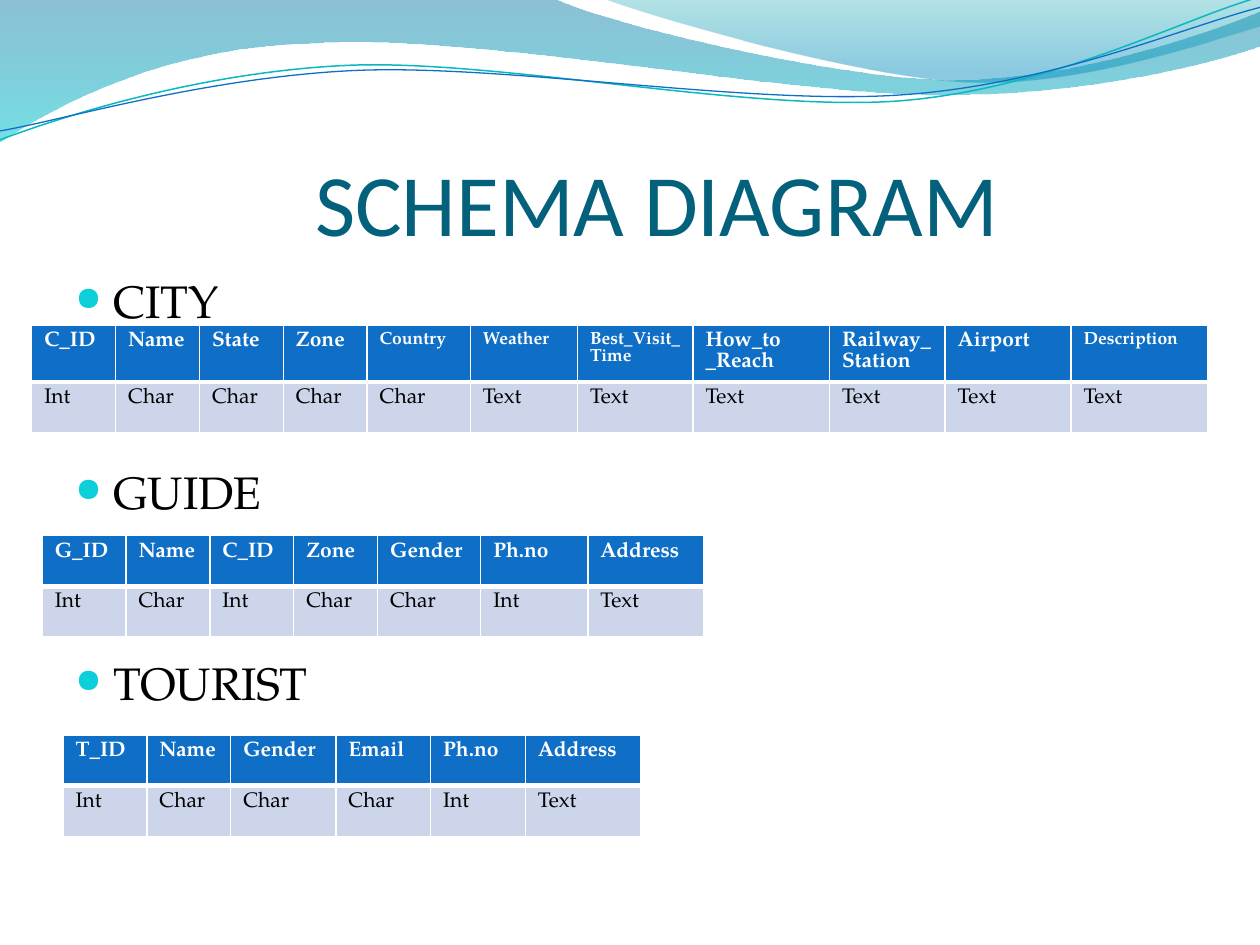
from lxml.etree import SubElement
from pptx import Presentation
from pptx.dml.color import RGBColor
from pptx.enum.text import MSO_ANCHOR, PP_ALIGN
from pptx.oxml import parse_xml
from pptx.oxml.ns import nsdecls, qn
from pptx.util import Cm, Pt

COLORS = {
    "title": "04617B", "text": "000000", "white": "FFFFFF", "bullet": "0BD0D9",
    "header": "0F6FC6", "body": "CCD5EA", "teal": "0AB8BF", "blue": "0F6FC6",
    "wave_top": "0074A1", "wave_bottom": "00C6CF",
    "crest_top": "00A1A9", "crest_bottom": "008BBF",
}
TITLE_FONT, BODY_FONT = "Calibri", "TeX Gyre Pagella"
UNITS_PER_CM = 1000
ROW_HEIGHT = 1.02
LINE_TILT = 357.3

# Outlines in cm: a pair is a straight step, three pairs are a Bezier curve
WAVE = [
    (-0.03, 0), (11.18, -0.03),
    ((12.09, 0.43), (16.87, 1.6), (19.25, 1.6)),
    ((21.67, 1.6), (24.33, 0.66), (25.4, 0.23)),
    (25.43, 0.91),
    ((24.97, 1.12), (22.1, 1.93), (18.95, 1.91)),
    ((15.8, 1.91), (9.7, 0.71), (6.53, 0.86)),
    ((3.28, 0.91), (1.17, 2.11), (-0.03, 2.87)),
]
CREST = [
    (12.17, -0.03),
    ((12.93, 0.28), (17.32, 1.57), (19.53, 1.65)),
    ((21.74, 1.75), (24.41, 0.81), (25.4, 0.53)),
    (25.4, 0),
]
TEAL_LINE = [
    (-0.05, 2.22),
    ((1.19, 1.82), (4.02, 1.04), (7.05, 1.05)),
    ((10.05, 1.07), (15.02, 2.37), (18.08, 2.29)),
    ((21.13, 2.2), (23.87, 0.91), (25.41, 0.55)),
]
BLUE_LINE = [
    (-0.04, 2.04),
    ((1.16, 1.9), (4.18, 1.15), (7.2, 1.16)),
    ((10.25, 1.18), (15.13, 2.25), (18.18, 2.17)),
    ((21.21, 2.1), (23.93, 1.06), (25.45, 0.75)),
]

# Tables: name, left, top, then (field, type, column width), all in cm
TABLES = [
    ("CITY", 0.64, 6.56, [
        ("C_ID", "Int", 1.69), ("Name", "Char", 1.69), ("State", "Char", 1.69),
        ("Zone", "Char", 1.69), ("Country", "Char", 2.08), ("Weather", "Text", 2.16),
        ("Best_Visit_Time", "Text", 2.33), ("How_to _Reach", "Text", 2.75),
        ("Railway_Station", "Text", 2.33), ("Airport", "Text", 2.54),
        ("Description", "Text", 2.75)]),
    ("GUIDE", 0.85, 10.8, [
        ("G_ID", "Int", 1.69), ("Name", "Char", 1.69), ("C_ID", "Int", 1.69),
        ("Zone", "Char", 1.69), ("Gender", "Char", 2.08), ("Ph.no", "Int", 2.16),
        ("Address", "Text", 2.33)]),
    ("TOURIST", 1.27, 14.82, [
        ("T_ID", "Int", 1.69), ("Name", "Char", 1.69), ("Gender", "Char", 2.12),
        ("Email", "Char", 1.91), ("Ph.no", "Int", 1.91), ("Address", "Text", 2.33)]),
]
SMALL_HEADERS = {"Country", "Weather", "Best_Visit_Time", "Description"}


def rgb(name):
    return RGBColor.from_string(COLORS[name])


def set_font(font, name, size, color, bold=False):
    font.name, font.size, font.bold = name, Pt(size), bold
    font.color.rgb = rgb(color)


def bend_segments(shape, outline):
    """Join the three straight steps of each Bezier part into one curve."""
    steps = iter(list(shape._element.iter(qn("a:lnTo"))))
    for part in outline[1:]:
        step = next(steps)
        if len(part) == 3:
            curve = parse_xml(f'<a:cubicBezTo {nsdecls("a")}/>')
            step.addprevious(curve)
            for corner in (step, next(steps), next(steps)):
                curve.append(corner[0])
                corner.getparent().remove(corner)


def add_outline(slide, outline, close):
    points = [outline[0]]
    for part in outline[1:]:
        points.extend(part if len(part) == 3 else [part])
    scaled = [(x * UNITS_PER_CM, y * UNITS_PER_CM) for x, y in points]
    builder = slide.shapes.build_freeform(*scaled[0], scale=Cm(1) / UNITS_PER_CM)
    builder.add_line_segments(scaled[1:], close=close)
    shape = builder.convert_to_shape()
    bend_segments(shape, outline)
    shape.shadow.inherit = False
    return shape


def add_wave(slide, outline, stops):
    shape = add_outline(slide, outline, True)
    shape.line.fill.background()
    shape.fill.gradient()
    shape.fill.gradient_angle = 270
    for stop, (position, color, _) in zip(shape.fill.gradient_stops, stops):
        stop.position = position
        stop.color.rgb = rgb(color)
    colors = shape._element.spPr.iter(qn("a:srgbClr"))
    for element, (_, _, opacity) in zip(colors, stops):
        SubElement(element, qn("a:alpha"), val=str(opacity * 1000))


def add_curve(slide, outline, color, width):
    shape = add_outline(slide, outline, False)
    shape.rotation = LINE_TILT
    shape.fill.background()
    shape.line.color.rgb = rgb(color)
    shape.line.width = Pt(width)


def format_title(slide, text):
    title = slide.shapes.title
    title.left, title.top, title.width, title.height = Cm(1.27), Cm(1.94), Cm(22.86), Cm(3.18)
    frame = title.text_frame
    frame.text = text
    frame.vertical_anchor = MSO_ANCHOR.BOTTOM
    frame.margin_left = frame.margin_right = frame.margin_bottom = 0
    frame.margin_top = Cm(0.13)
    paragraph = frame.paragraphs[0]
    paragraph.alignment = PP_ALIGN.LEFT
    paragraph._p.get_or_add_pPr().set("marL", str(Cm(5.08)))
    set_font(paragraph.font, TITLE_FONT, 50, "title")


def add_bullet(paragraph):
    properties = paragraph._p.get_or_add_pPr()
    properties.set("marL", str(Cm(0.76)))
    properties.set("indent", str(-Cm(0.76)))
    color = SubElement(properties, qn("a:buClr"))
    SubElement(color, qn("a:srgbClr"), val=COLORS["bullet"])
    SubElement(properties, qn("a:buSzPct"), val="73000")
    SubElement(properties, qn("a:buChar"), char="●")


def add_headings(slide, names):
    box = slide.shapes.add_textbox(Cm(1.27), Cm(5.38), Cm(22.86), Cm(12.19))
    frame = box.text_frame
    frame.word_wrap = True
    for index, name in enumerate(names):
        paragraph = frame.add_paragraph() if index else frame.paragraphs[0]
        paragraph.text = name
        paragraph.space_before = Pt(78 if index else 5.2)
        add_bullet(paragraph)
        set_font(paragraph.font, BODY_FONT, 26, "text")


def set_borders(cell, bottom_width):
    properties = cell._tc.get_or_add_tcPr()
    for index, side in enumerate(("L", "R", "T", "B")):
        width = Pt(bottom_width if side == "B" else 1)
        properties.insert(index, parse_xml(
            f'<a:ln{side} {nsdecls("a")} w="{width}"><a:solidFill>'
            f'<a:srgbClr val="{COLORS["white"]}"/></a:solidFill></a:ln{side}>'))


def format_cell(cell, text, size, color, fill, bold, bottom_width):
    cell.text = text
    cell.margin_bottom = 0
    set_font(cell.text_frame.paragraphs[0].font, BODY_FONT, size, color, bold)
    cell.fill.solid()
    cell.fill.fore_color.rgb = rgb(fill)
    set_borders(cell, bottom_width)


def add_schema_table(slide, left, top, fields):
    width = sum(field[2] for field in fields)
    table = slide.shapes.add_table(2, len(fields), Cm(left), Cm(top),
                                   Cm(width), Cm(2 * ROW_HEIGHT)).table
    for row in table.rows:
        row.height = Cm(ROW_HEIGHT)
    for column, (name, kind, column_width) in enumerate(fields):
        table.columns[column].width = Cm(column_width)
        size = 10 if name in SMALL_HEADERS else 12
        format_cell(table.cell(0, column), name, size, "white", "header", True, 3)
        format_cell(table.cell(1, column), kind, 12, "text", "body", False, 1)


def main():
    presentation = Presentation()
    presentation.slide_width, presentation.slide_height = Cm(25.4), Cm(19.05)
    slide = presentation.slides.add_slide(presentation.slide_layouts[5])

    # Wave decoration
    add_wave(slide, WAVE, [(0, "wave_top", 45), (1, "wave_bottom", 55)])
    add_wave(slide, CREST, [(0, "crest_top", 30), (0.8, "crest_bottom", 45)])
    add_curve(slide, TEAL_LINE, "teal", 0.85)
    add_curve(slide, BLUE_LINE, "blue", 0.75)

    # Title, headings and their tables
    format_title(slide, "SCHEMA DIAGRAM")
    add_headings(slide, [table[0] for table in TABLES])
    for _, left, top, fields in TABLES:
        add_schema_table(slide, left, top, fields)

    presentation.save("out.pptx")


if __name__ == "__main__":
    main()
